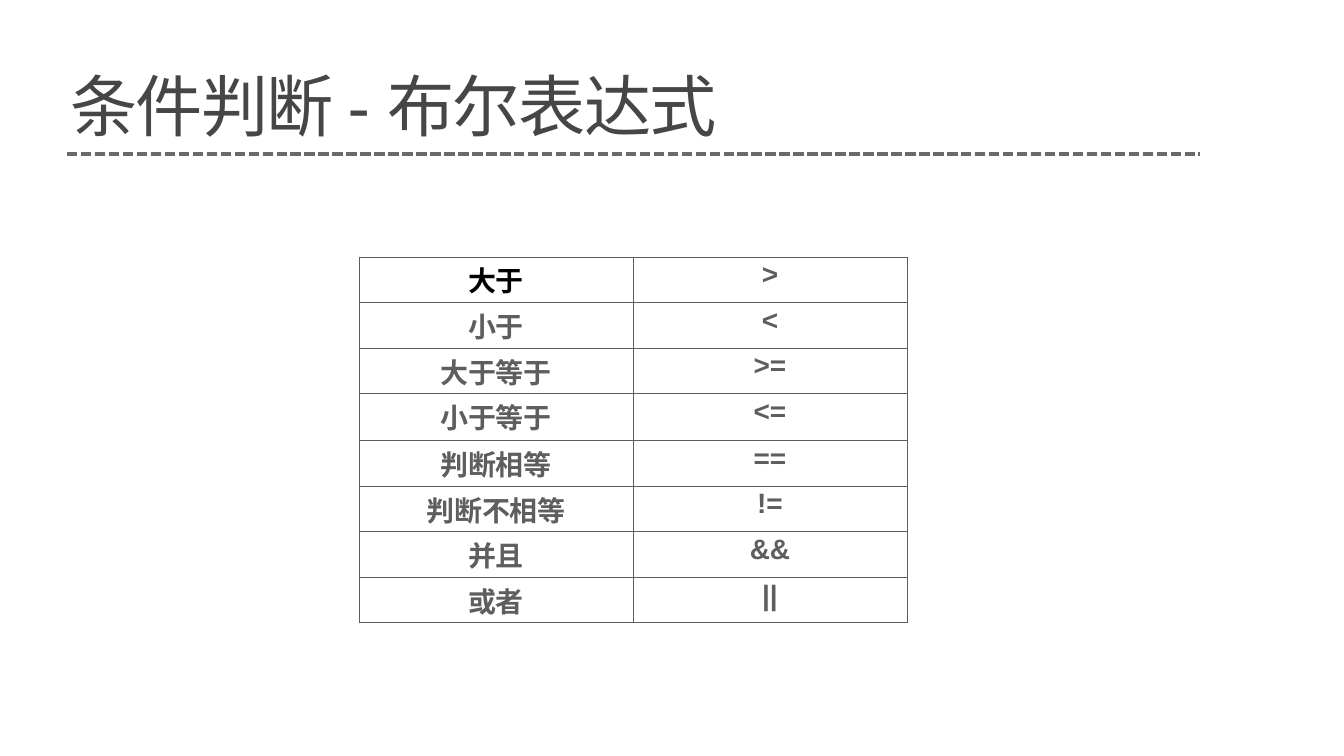
import pptx
import pptx.dml.color
import pptx.enum.dml
import pptx.enum.shapes
import pptx.enum.text
import pptx.oxml.ns
import pptx.util
from lxml import etree
from typing import NamedTuple

EMU_PER_PX = 914400 / 50.4
TITLE_GREY = pptx.dml.color.RGBColor(0x46, 0x46, 0x46)
RULE_GREY = pptx.dml.color.RGBColor(0x6A, 0x6A, 0x6A)
TABLE_GREY = pptx.dml.color.RGBColor(0x5E, 0x5E, 0x5E)
BLACK = pptx.dml.color.RGBColor(0, 0, 0)
FONT = "Arial"


class Operator(NamedTuple):
    meaning: str
    symbol: str
    height: int = 45
    meaning_color: pptx.dml.color.RGBColor = TABLE_GREY


OPERATORS = [
    Operator("大于", ">", meaning_color=BLACK),
    Operator("小于", "<"),
    Operator("大于等于", ">="),
    Operator("小于等于", "<=", height=47),
    Operator("判断相等", "=="),
    Operator("判断不相等", "!="),
    Operator("并且", "&&"),
    Operator("或者", "||"),
]


def px(pixels: int) -> pptx.util.Emu:
    return pptx.util.Emu(round(pixels * EMU_PER_PX))


def style_run(run, size: int, color: pptx.dml.color.RGBColor, bold: bool) -> None:
    run.font.name = FONT
    run.font.size = pptx.util.Pt(size)
    run.font.bold = bold
    run.font.color.rgb = color


def add_borders(cell) -> None:
    properties = cell._tc.get_or_add_tcPr()
    for position, side in enumerate(("lnL", "lnR", "lnT", "lnB")):
        border = etree.Element(pptx.oxml.ns.qn(f"a:{side}"), w=str(pptx.util.Pt(1)))
        fill = etree.SubElement(border, pptx.oxml.ns.qn("a:solidFill"))
        etree.SubElement(fill, pptx.oxml.ns.qn("a:srgbClr"), val=str(TABLE_GREY))
        properties.insert(position, border)


def fill_cell(cell, text: str, color: pptx.dml.color.RGBColor) -> None:
    cell.text_frame.text = text
    paragraph = cell.text_frame.paragraphs[0]
    paragraph.alignment = pptx.enum.text.PP_ALIGN.CENTER
    style_run(paragraph.runs[0], 40, color, True)
    cell.fill.background()
    add_borders(cell)


presentation = pptx.Presentation()
presentation.slide_width, presentation.slide_height = px(1344), px(756)
slide = presentation.slides.add_slide(presentation.slide_layouts[5])

# Heading
heading = slide.shapes.title
heading.left, heading.top, heading.width, heading.height = px(67), px(31), px(1211), px(116)
frame = heading.text_frame
frame.text = "条件判断 - 布尔表达式"
frame.word_wrap = True
frame.auto_size = pptx.enum.text.MSO_AUTO_SIZE.NONE
frame.vertical_anchor = pptx.enum.text.MSO_ANCHOR.BOTTOM
frame.margin_left = frame.margin_right = frame.margin_top = frame.margin_bottom = px(3)
heading_line = frame.paragraphs[0]
heading_line.alignment = pptx.enum.text.PP_ALIGN.LEFT
heading_line.line_spacing = 0.8
style_run(heading_line.runs[0], 96, TITLE_GREY, False)
heading_line.runs[0].font._element.set("spc", "-220")

# Dashed rule under the heading
rule = slide.shapes.add_connector(
    pptx.enum.shapes.MSO_CONNECTOR.STRAIGHT, px(67), px(154), px(1200), px(154))
rule.line.color.rgb = RULE_GREY
rule.line.width = pptx.util.Pt(5)
rule.line.dash_style = pptx.enum.dml.MSO_LINE.SQUARE_DOT
etree.SubElement(rule._element.spPr, pptx.oxml.ns.qn("a:effectLst"))

# Operator table
operator_table = slide.shapes.add_table(
    len(OPERATORS), 2, px(359), px(257), px(548),
    px(sum(operator.height for operator in OPERATORS))).table
operator_table.first_row = operator_table.horz_banding = False
for row, operator in zip(operator_table.rows, OPERATORS):
    row.height = px(operator.height)
    fill_cell(row.cells[0], operator.meaning, operator.meaning_color)
    fill_cell(row.cells[1], operator.symbol, TABLE_GREY)

presentation.save("out.pptx")
